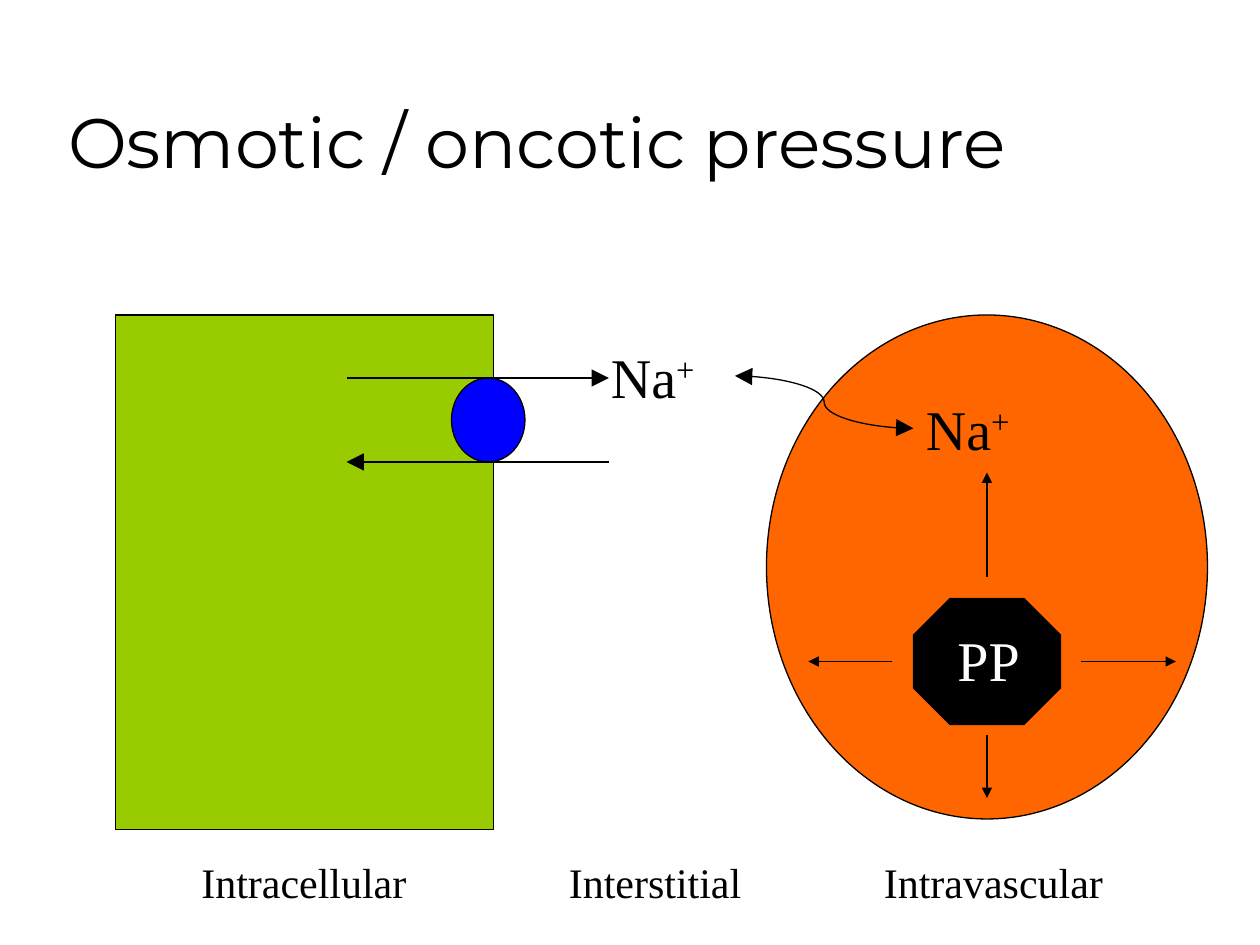
from lxml.etree import SubElement
from pptx import Presentation
from pptx.dml.color import RGBColor
from pptx.enum.shapes import MSO_CONNECTOR as Link, MSO_SHAPE as Preset
from pptx.enum.text import MSO_ANCHOR as Anchor
from pptx.oxml.ns import qn
from pptx.util import Inches, Pt

COLUMNS, ROWS = 120, 90
CELL = Inches(10) // COLUMNS
COLORS = {
    "ink": "000000",
    "paper": "FFFFFF",
    "cell": "99CC00",
    "vessel": "FF6600",
    "pump": "0000FF",
}
SERIF, SANS = "Times New Roman", "Montserrat"


def color(name):
    return RGBColor.from_string(COLORS[name])


def grid(*cells):
    return [round(cell * CELL) for cell in cells]


def outline(line):
    line.color.rgb = color("ink")
    line.width = Pt(0.75)


def add_body(slide, preset, box, fill):
    shape = slide.shapes.add_shape(preset, *grid(*box))
    shape.shadow.inherit = False
    shape.fill.solid()
    shape.fill.fore_color.rgb = color(fill)
    outline(shape.line)
    return shape


def add_arrow(slide, start, end, size="med", kind=Link.STRAIGHT, ends=("tailEnd",)):
    """Draw a connector; ends lists headEnd and tailEnd in that order."""
    arrow = slide.shapes.add_connector(kind, *grid(*start, *end))
    outline(arrow.line)
    line = arrow.line._get_or_add_ln()
    for end_name in ends:
        SubElement(line, qn(f"a:{end_name}"), type="triangle", w=size, len=size)
    SubElement(arrow._element.spPr, qn("a:effectLst"))


def add_text(slide, box, runs, size, font=SERIF, ink="ink", anchor=Anchor.TOP):
    """Add one paragraph; runs are pairs of text and raised (superscript) flag."""
    frame = slide.shapes.add_textbox(*grid(*box)).text_frame
    frame.word_wrap = True
    frame.vertical_anchor = anchor
    paragraph = frame.paragraphs[0]
    for text, raised in runs:
        run = paragraph.add_run()
        run.text = text
        run.font.name = font
        run.font.size = Pt(size)
        run.font.color.rgb = color(ink)
        if raised:
            run.font._element.set("baseline", "30000")
    return paragraph


def add_label(slide, box, runs, size, ink="ink"):
    """Add a serif text with half a line of space before it."""
    paragraph = add_text(slide, box, runs, size, ink=ink)
    space = SubElement(paragraph._p.get_or_add_pPr(), qn("a:spcBef"))
    SubElement(space, qn("a:spcPct"), val="50000")


def add_compartments(slide):
    add_body(slide, Preset.RECTANGLE, (11, 30, 36, 49), "cell")
    add_body(slide, Preset.OVAL, (73, 30, 42, 48), "vessel")
    names = {"Intracellular": 18, "Interstitial": 53, "Intravascular": 83}
    for name, column in names.items():
        add_label(slide, (column, 81, 24, 6), [(name, False)], 24)


def add_sodium_exchange(slide):
    add_body(slide, Preset.OVAL, (43, 36, 7, 8), "pump")
    add_arrow(slide, (33, 36), (58, 36), "lg")
    add_arrow(slide, (58, 44), (33, 44), "lg")
    for column, row in ((57, 32), (87, 37)):
        add_label(slide, (column, row, 13, 7.5), [("Na", False), ("+", True)], 32)
    add_arrow(slide, (70, 35.8), (87, 40.8), "lg", Link.CURVE, ("headEnd", "tailEnd"))


def add_plasma_protein(slide):
    protein = add_body(slide, Preset.OCTAGON, (87, 57, 14, 12), "ink")
    protein.adjustments[0] = 0.29
    add_label(slide, (90, 59, 9, 7.5), [("PP", False)], 32, "paper")
    for start, end in (
        ((103, 63), (112, 63)),
        ((85, 63), (77, 63)),
        ((94, 70), (94, 76)),
        ((94, 55), (94, 45)),
    ):
        add_arrow(slide, start, end)


def main():
    presentation = Presentation()
    presentation.slide_width, presentation.slide_height = grid(COLUMNS, ROWS)
    slide = presentation.slides.add_slide(presentation.slide_layouts[6])
    add_text(slide, (5.3, 3, 102, 15), [("Osmotic / oncotic pressure", False)],
             40, SANS, anchor=Anchor.BOTTOM)
    add_compartments(slide)
    add_sodium_exchange(slide)
    add_plasma_protein(slide)
    presentation.save("out.pptx")


if __name__ == "__main__":
    main()
